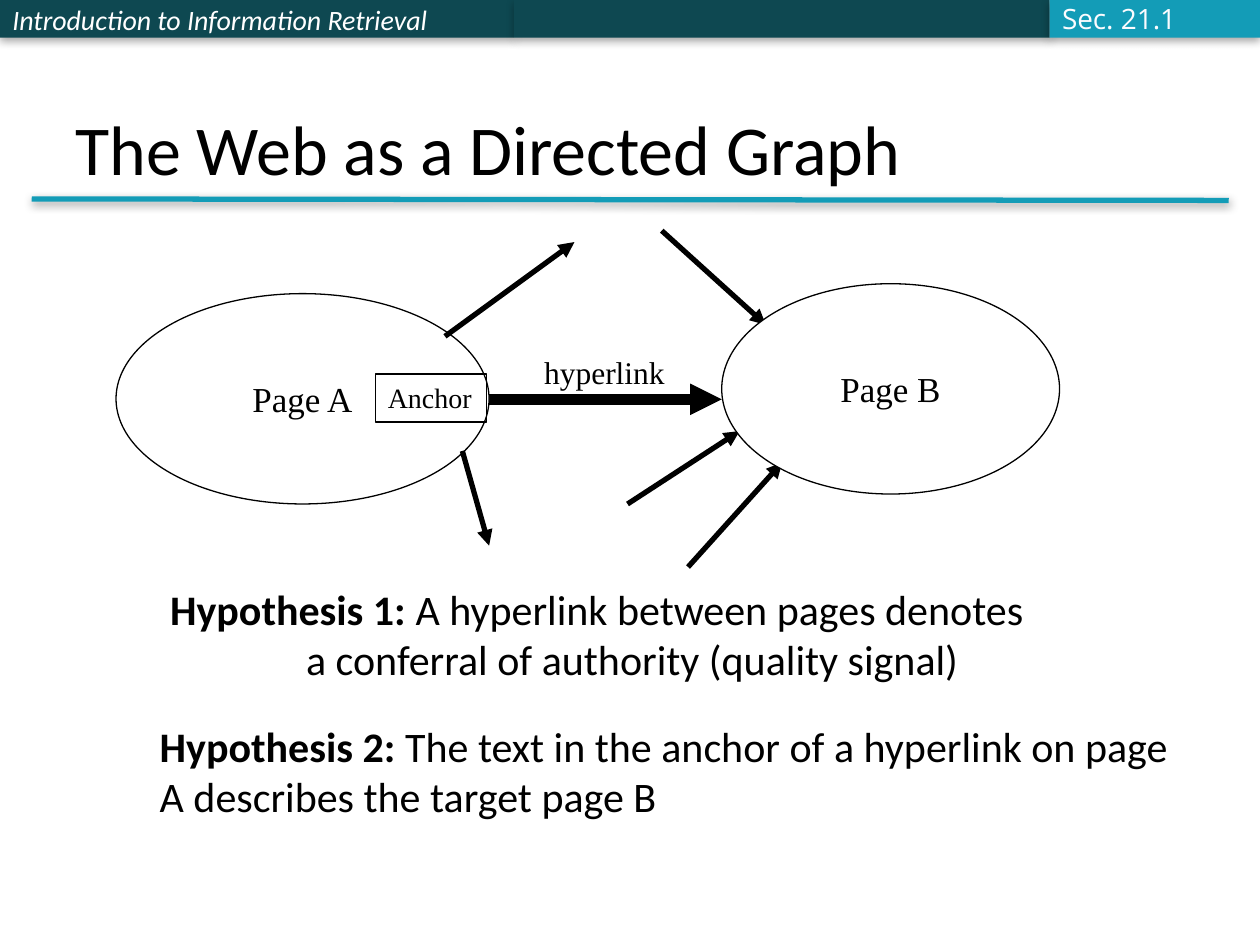
from lxml.etree import SubElement
from pptx import Presentation
from pptx.dml.color import RGBColor
from pptx.enum.shapes import MSO_CONNECTOR, MSO_SHAPE
from pptx.enum.text import MSO_ANCHOR, PP_ALIGN
from pptx.oxml.ns import qn
from pptx.util import Cm, Pt

DARK_TEAL = RGBColor(0x0E, 0x48, 0x51)
TEAL = RGBColor(0x13, 0x9C, 0xB7)
BLACK = RGBColor(0, 0, 0)
WHITE = RGBColor(0xFF, 0xFF, 0xFF)
OFF_WHITE = RGBColor(0xFB, 0xFC, 0xFF)
SANS, SERIF, SECTION_FONT = "Calibri", "Times New Roman", "Open Sans"

HEADER_HEIGHT = 0.76
HEADER_BARS = [
    (10.36, DARK_TEAL, "Introduction to Information Retrieval"),
    (10.8, DARK_TEAL, ""),
    (4.24, TEAL, ""),
]
TITLE = "The Web as a Directed Graph"
SECTION = "Sec. 21.1"
HYPOTHESES = [
    ((3.18, 11.63, 20.52, 2.31), "Hypothesis 1:",
     [" A hyperlink between pages denotes", "a conferral of authority (quality signal)"]),
    ((2.97, 14.4, 21.39, 2.31), "Hypothesis 2:",
     [" The text in the anchor of a hyperlink on page A describes the target page B"]),
]
CONTINUATION_INDENT = 2.74
PAGES = [
    ("Page A", (2.34, 5.92, 7.52, 4.24)),
    ("Page B", (14.55, 5.72, 6.81, 4.24)),
]
HYPERLINK = (9.68, 8.05, 14.55, 8.05)
OUTGOING_LINKS = [(9.32, 9.09, 9.86, 11), (8.97, 6.78, 11.58, 4.88)]
INCOMING_LINKS = [
    (12.65, 10.16, 14.91, 8.69),
    (13.87, 11.43, 15.77, 9.32),
    (13.34, 4.65, 15.44, 6.55),
]


def add_run(paragraph, text, size, font=SANS, color=BLACK, bold=False, italic=False):
    run = paragraph.add_run()
    run.text = text
    run.font.size = Pt(size)
    run.font.name = font
    run.font.color.rgb = color
    run.font.bold = bold
    run.font.italic = italic


def add_text_box(slide, box, anchor=MSO_ANCHOR.TOP, wrap=True):
    shape = slide.shapes.add_textbox(*map(Cm, box))
    shape.text_frame.word_wrap = wrap
    shape.text_frame.vertical_anchor = anchor
    return shape.text_frame.paragraphs[0]


def add_shape(slide, preset, box, fill=None, outlined=False):
    shape = slide.shapes.add_shape(preset, *map(Cm, box))
    shape.shadow.inherit = False
    if fill is None:
        shape.fill.background()
    else:
        shape.fill.solid()
        shape.fill.fore_color.rgb = fill
    if outlined:
        shape.line.color.rgb = BLACK
        shape.line.width = Pt(0.75)
    else:
        shape.line.fill.background()
    return shape


def add_line(slide, ends, width, color=BLACK, arrow=True):
    line = slide.shapes.add_connector(MSO_CONNECTOR.STRAIGHT, *map(Cm, ends))
    line.line.color.rgb = color
    line.line.width = Pt(width)
    if arrow:
        SubElement(line.line._get_or_add_ln(), qn("a:tailEnd"), type="triangle")
    SubElement(line._element.spPr, qn("a:effectLst"))
    return line


def add_shadow(shape, opacity, distance):
    effects = shape._element.spPr.find(qn("a:effectLst"))
    shadow = SubElement(effects, qn("a:outerShdw"), blurRad=str(Pt(5)),
                        dist=str(Pt(distance)), dir="5400000", rotWithShape="0")
    color = SubElement(shadow, qn("a:srgbClr"), val="000000")
    SubElement(color, qn("a:alpha"), val=str(opacity * 1000))


def add_header(slide):
    left = 0
    for width, color, text in HEADER_BARS:
        bar = add_shape(slide, MSO_SHAPE.RECTANGLE, (left, 0, width, HEADER_HEIGHT), color)
        add_shadow(bar, 35, 1.8)
        if text:
            bar.text_frame.vertical_anchor = MSO_ANCHOR.MIDDLE
            paragraph = bar.text_frame.paragraphs[0]
            paragraph.alignment = PP_ALIGN.LEFT
            add_run(paragraph, text, 16, color=WHITE, italic=True)
        left += width
    rule = add_line(slide, (0.64, 4.01, 24.77, 4.04), 3, TEAL, arrow=False)
    add_shadow(rule, 38, 1.6)
    add_run(add_text_box(slide, (1.27, 0.76, 22.86, 3.18), MSO_ANCHOR.BOTTOM), TITLE, 40)
    section = add_text_box(slide, (21.16, -0.1, 3.05, 0.94), MSO_ANCHOR.MIDDLE, wrap=False)
    add_run(section, SECTION, 16, SECTION_FONT, OFF_WHITE)


def add_hypotheses(slide):
    for box, label, lines in HYPOTHESES:
        paragraph = add_text_box(slide, box)
        if len(lines) > 1:
            properties = paragraph._p.get_or_add_pPr()
            properties.set("marL", str(Cm(CONTINUATION_INDENT)))
            properties.set("indent", str(-Cm(CONTINUATION_INDENT)))
        add_run(paragraph, label, 24, bold=True)
        for index, line in enumerate(lines):
            if index:
                paragraph.add_line_break()
            add_run(paragraph, line, 24)


def add_page(slide, name, box):
    page = add_shape(slide, MSO_SHAPE.OVAL, box, WHITE, outlined=True)
    page.text_frame.word_wrap = False
    page.text_frame.vertical_anchor = MSO_ANCHOR.MIDDLE
    paragraph = page.text_frame.paragraphs[0]
    paragraph.alignment = PP_ALIGN.CENTER
    add_run(paragraph, name, 20, SERIF)


def add_graph(slide):
    page_a, page_b = PAGES
    add_line(slide, HYPERLINK, 6)
    add_page(slide, *page_a)
    label = add_text_box(slide, (10.72, 6.99, 2.95, 1.02), wrap=False)
    add_run(label, "hyperlink", 18, SERIF)
    for ends in OUTGOING_LINKS + INCOMING_LINKS:
        add_line(slide, ends, 3)
    add_page(slide, *page_b)
    anchor = add_shape(slide, MSO_SHAPE.RECTANGLE, (7.57, 7.54, 2.24, 0.97), outlined=True)
    anchor.text_frame.word_wrap = False
    anchor.text_frame.vertical_anchor = MSO_ANCHOR.TOP
    paragraph = anchor.text_frame.paragraphs[0]
    paragraph.alignment = PP_ALIGN.LEFT
    add_run(paragraph, "Anchor", 16, SERIF)


def main():
    presentation = Presentation()
    presentation.slide_width = Cm(25.4)
    presentation.slide_height = Cm(19.05)
    slide = presentation.slides.add_slide(presentation.slide_layouts[6])
    add_header(slide)
    add_hypotheses(slide)
    add_graph(slide)
    presentation.save("out.pptx")


if __name__ == "__main__":
    main()
